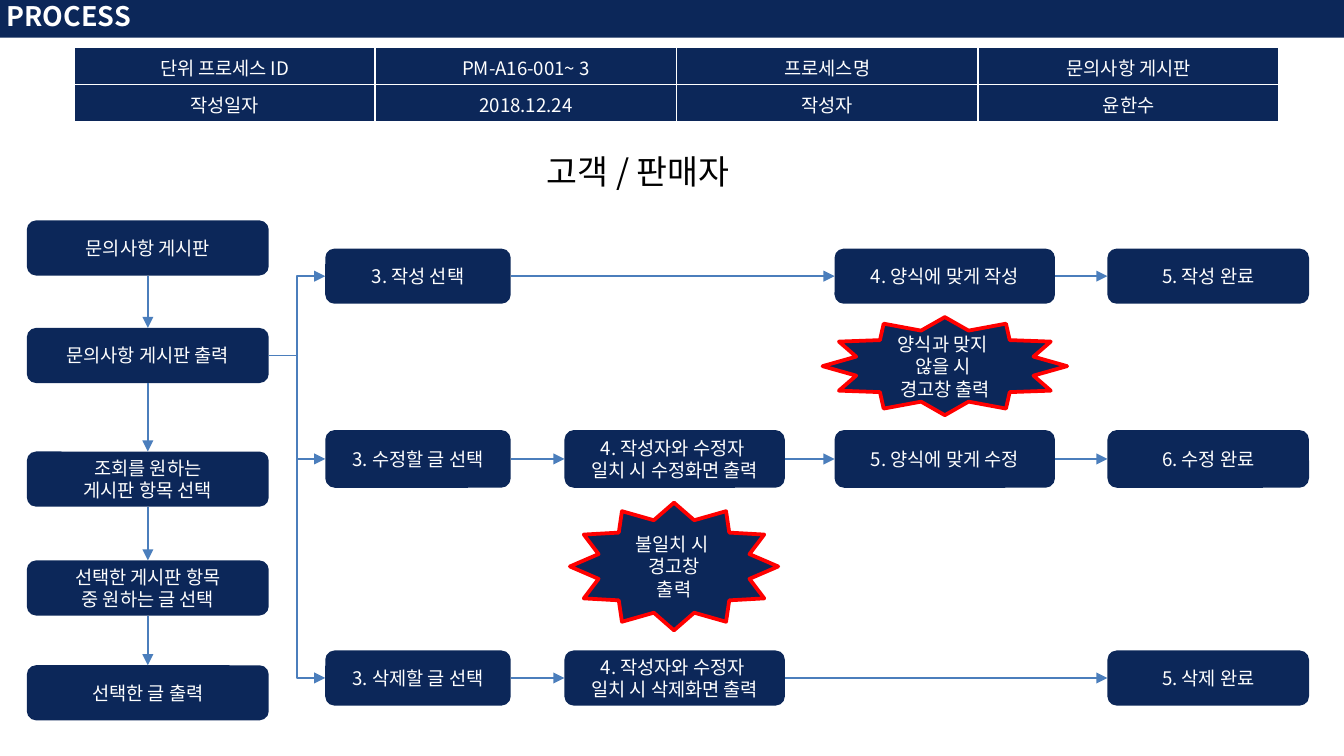
"""Build the process-flow slide for the inquiry board."""
from lxml import etree
from pptx import Presentation
from pptx.dml.color import RGBColor
from pptx.enum import shapes, text
from pptx.oxml import ns
from pptx.util import Inches, Pt

FONT = "Noto Sans CJK KR"
COLORS = {
    "navy": "0C2759",
    "white": "FFFFFF",
    "black": "000000",
    "red": "FF0000",
    "arrow": "4B7EBC",
}
TABLE_ROWS = [
    ["단위 프로세스 ID", "PM-A16-001~ 3", "프로세스명", "문의사항 게시판"],
    ["작성일자", "2018.12.24", "작성자", "윤한수"],
]
MAIN_STEPS = [
    (1.64, "문의사항 게시판"),
    (2.44, "문의사항 게시판 출력"),
    (3.36, "조회를 원하는\n게시판 항목 선택"),
    (4.17, "선택한 게시판 항목\n중 원하는 글 선택"),
    (4.95, "선택한 글 출력"),
]
STEP_HEIGHT = 0.41
COLUMNS = {"select": (2.42, 1.38), "check": (4.2, 1.64),
           "form": (6.21, 1.64), "done": (8.24, 1.5)}
BRANCHES = [
    (1.85, STEP_HEIGHT, {"select": "3. 작성 선택", "form": "4. 양식에 맞게 작성",
                         "done": "5. 작성 완료"}),
    (3.2, 0.43, {"select": "3. 수정할 글 선택",
                 "check": "4. 작성자와 수정자 \v일치 시 수정화면 출력",
                 "form": "5. 양식에 맞게 수정", "done": "6. 수정 완료"}),
    (4.84, STEP_HEIGHT, {"select": "3. 삭제할 글 선택",
                         "check": "4. 작성자와 수정자 \v일치 시 삭제화면 출력",
                         "done": "5. 삭제 완료"}),
]
WARNINGS = [
    (6.12, 2.36, 1.82, 0.73, "양식과 맞지 \v않을 시 \v경고창 출력"),
    (4.24, 3.74, 1.55, 0.95, "불일치 시 \v경고창\n출력"),
]


def color(name):
    return RGBColor.from_string(COLORS[name])


def fill_solid(target, name):
    target.fill.solid()
    target.fill.fore_color.rgb = color(name)


def write(frame, content, size=10, font_color="white", bold=False,
          align=text.PP_ALIGN.CENTER):
    frame.text = content
    frame.word_wrap = True
    for paragraph in frame.paragraphs:
        paragraph.alignment = align
        font = paragraph.font
        font.name, font.size, font.bold = FONT, Pt(size), bold
        font.color.rgb = color(font_color)
        defaults = paragraph._p.pPr.find(ns.qn("a:defRPr"))
        etree.SubElement(defaults, ns.qn("a:ea"), typeface=FONT)


def add_title(slide):
    title = slide.shapes.title
    title.left, title.top = Inches(-0.04), Inches(-0.04)
    title.width, title.height = Inches(10.04), Inches(0.32)
    fill_solid(title, "navy")
    frame = title.text_frame
    write(frame, "PROCESS", 14.4, bold=True, align=text.PP_ALIGN.LEFT)
    frame.vertical_anchor = text.MSO_ANCHOR.MIDDLE
    frame.margin_left = frame.margin_right = Inches(0.09)
    frame.margin_top = frame.margin_bottom = Inches(0.04)


def add_heading(slide):
    heading = slide.shapes.add_textbox(
        Inches(3.97), Inches(1.07), Inches(2.07), Inches(0.41))
    write(heading.text_frame, "고객 / 판매자", 18, "black",
          align=text.PP_ALIGN.LEFT)


def add_borders(cell):
    properties = cell._tc.get_or_add_tcPr()
    for index, side in enumerate(("lnL", "lnR", "lnT", "lnB")):
        line = etree.Element(ns.qn(f"a:{side}"), w=str(Pt(1)))
        solid = etree.SubElement(line, ns.qn("a:solidFill"))
        etree.SubElement(solid, ns.qn("a:srgbClr"), val=COLORS["white"])
        properties.insert(index, line)


def add_info_table(slide):
    table = slide.shapes.add_table(
        len(TABLE_ROWS), len(TABLE_ROWS[0]),
        Inches(0.55), Inches(0.35), Inches(8.97), Inches(0.56)).table
    table.first_row = table.horz_banding = False
    for row, labels in enumerate(TABLE_ROWS):
        for column, label in enumerate(labels):
            cell = table.cell(row, column)
            write(cell.text_frame, label)
            cell.vertical_anchor = text.MSO_ANCHOR.MIDDLE
            fill_solid(cell, "navy")
            add_borders(cell)


def add_node(slide, kind, left, top, width, height, label):
    node = slide.shapes.add_shape(
        kind, Inches(left), Inches(top), Inches(width), Inches(height))
    node.shadow.inherit = False
    fill_solid(node, "navy")
    node.line.fill.background()
    write(node.text_frame, label)
    node.text_frame.vertical_anchor = text.MSO_ANCHOR.MIDDLE
    return node


def add_step(slide, *geometry_and_label):
    return add_node(slide, shapes.MSO_SHAPE.ROUNDED_RECTANGLE,
                    *geometry_and_label)


def add_warning(slide, *geometry_and_label):
    star = add_node(slide, shapes.MSO_SHAPE.STAR_12_POINT, *geometry_and_label)
    star.line.color.rgb = color("red")
    star.line.width = Pt(2)


def add_arrow(slide, start, start_site, end, end_site,
              kind=shapes.MSO_CONNECTOR.STRAIGHT):
    arrow = slide.shapes.add_connector(kind, 0, 0, 0, 0)
    arrow.begin_connect(start, start_site)
    arrow.end_connect(end, end_site)
    arrow.line.color.rgb = color("arrow")
    arrow.line.width = Pt(0.75)
    etree.SubElement(arrow.line._get_or_add_ln(), ns.qn("a:tailEnd"),
                     type="triangle")
    etree.SubElement(arrow._element.spPr, ns.qn("a:effectLst"))


def add_flow(slide):
    top_site, left_site, bottom_site, right_site = range(4)
    main_steps = [add_step(slide, 0.2, top, 1.8, STEP_HEIGHT, label)
                  for top, label in MAIN_STEPS]
    for start, end in zip(main_steps, main_steps[1:]):
        add_arrow(slide, start, bottom_site, end, top_site)
    for top, height, labels in BRANCHES:
        steps = []
        for column, label in labels.items():
            left, width = COLUMNS[column]
            steps.append(add_step(slide, left, top, width, height, label))
        add_arrow(slide, main_steps[1], right_site, steps[0], left_site,
                  shapes.MSO_CONNECTOR.ELBOW)
        for start, end in zip(steps, steps[1:]):
            add_arrow(slide, start, right_site, end, left_site)


def main():
    presentation = Presentation()
    presentation.slide_width = Inches(10)
    presentation.slide_height = Inches(10) * 9 // 16
    slide = presentation.slides.add_slide(presentation.slide_layouts[5])
    add_title(slide)
    add_heading(slide)
    add_info_table(slide)
    add_flow(slide)
    for warning in WARNINGS:
        add_warning(slide, *warning)
    presentation.save("out.pptx")


if __name__ == "__main__":
    main()
